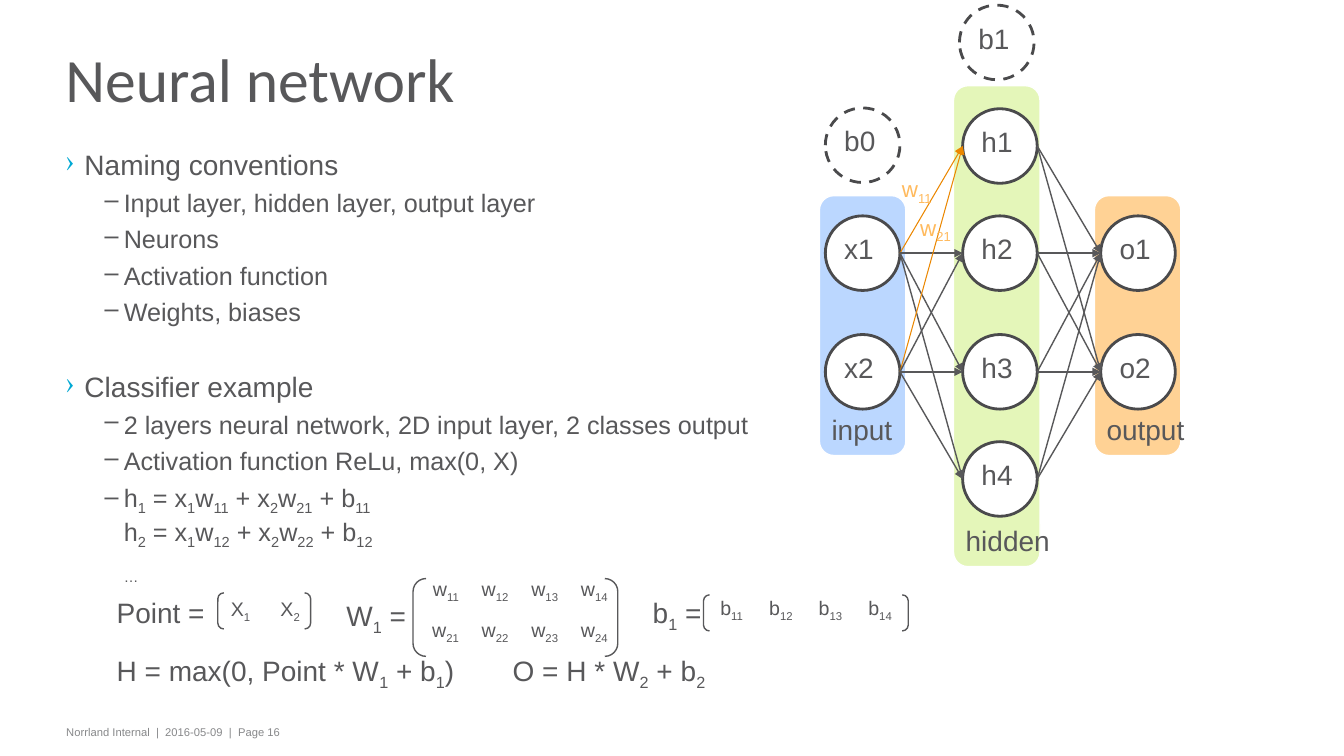
from lxml import etree
from pptx import Presentation
from pptx import util as u
from pptx.dml.color import RGBColor
from pptx.enum import dml, shapes, text
from pptx.oxml.ns import qn

COLORS = {
    "text": "58585A", "footer": "87888A", "ring": "4A4A4C", "white": "FFFFFF",
    "bullet": "00A9D4", "weight": "FFBA5D", "weight_line": "EB8700",
    "input": "97C3FF", "hidden": "D6F294", "output": "FFBA5D",
}

# In all wording, "~" switches subscript on and off.
TITLE = "Neural network"
FOOTER = "Norrland Internal  |  2016-05-09  |  Page 16"
BODY = [
    ("topic", 0, "Naming conventions"),
    ("item", 4.5, "Input layer, hidden layer, output layer"),
    ("item", 4.5, "Neurons"),
    ("item", 4.5, "Activation function"),
    ("item", 4.5, "Weights, biases"),
    ("topic", 30, "Classifier example"),
    ("item", 4.5, "2 layers neural network, 2D input layer, 2 classes output"),
    ("item", 4.5, "Activation function ReLu, max(0, X)"),
    ("item", 4.5, "h~1~ = x~1~w~11~ + x~2~w~21~ + b~11"),
    ("more", 0, "h~2~ = x~1~w~12~ + x~2~w~22~ + b~12"),
    ("more", 0, "~…"),
]
STYLES = {
    "topic": (20, 0.48, -0.48, "›", "bullet"),
    "item": (18, 1.47, -0.48, "–", "text"),
    "more": (18, 1.47, 0, None, None),
}
LAYERS = {
    "output": (27.58, 4.93, 6.55),
    "hidden": (24.03, 2.16, 12.12),
    "input": (20.65, 4.93, 6.55),
}
LAYER_WIDTH = 2.18
NODE = 1.88
NODE_LEFT = {"x": 20.8, "h": 24.26, "o": 27.74}
ROWS = [2.74, 5.44, 8.43, 11.13]
NODE_ROWS = {"x": ROWS[1:3], "h": ROWS, "o": ROWS[1:3]}
BIASES = [("b0", 20.8, 2.72), ("b1", 24.18, 0.13)]
LABELS = [
    ("w~11", 22.48, 4.29, 1.32, 16, "weight"),
    ("w~21", 22.94, 5.26, 1.35, 16, "weight"),
    ("Point =", 2.69, 14.88, 2.74, 20, "text"),
    ("W~1~ =", 8.48, 14.94, 2.06, 20, "text"),
    ("b~1~ =", 16.2, 14.88, 1.78, 20, "text"),
    ("H = max(0, Point * W~1~ + b~1~)", 2.69, 16.33, 9.4, 20, "text"),
    ("O = H * W~2~ + b~2", 12.67, 16.33, 5.46, 20, "text"),
]
CELL = (1.25, 1.03)
MATRICES = [
    ([["w~11", "w~12", "w~13", "w~14"], ["w~21", "w~22", "w~23", "w~24"]],
     (10.57, 14.45), (10.41, 14.58, 5.16, 1.96)),
    ([["b~11", "b~12", "b~13", "b~14"]], (17.73, 14.94), (17.73, 14.99, 5.16, 0.91)),
    ([["X~1", "X~2"]], (5.31, 14.96), (5.49, 14.94, 2.34, 0.91)),
]


def color(name):
    return RGBColor.from_string(COLORS[name])


def write(para, wording, size, tint="text", font="Arial"):
    para.font.size = u.Pt(size)
    para.font.name = font
    para.font.color.rgb = color(tint)
    for number, part in enumerate(wording.split("~")):
        if part:
            span = para.add_run()
            span.text = part
            if number % 2:
                span.font._element.set("baseline", "-25000")


def set_frame(frame, anchor=text.MSO_ANCHOR.TOP, wrap=False, side=0.2, edge=0.13):
    frame.word_wrap = wrap
    frame.vertical_anchor = anchor
    frame.margin_left = frame.margin_right = u.Cm(side)
    frame.margin_top = frame.margin_bottom = u.Cm(edge)
    return frame


def add_box(page, left, top, width, height, **options):
    box = page.shapes.add_textbox(*map(u.Cm, (left, top, width, height)))
    return set_frame(box.text_frame, **options)


def add_outline(page, kind, left, top, width, height, fill, line, weight):
    shape = page.shapes.add_shape(kind, *map(u.Cm, (left, top, width, height)))
    shape.shadow.inherit = False
    if fill:
        shape.fill.solid()
        shape.fill.fore_color.rgb = color(fill)
    else:
        shape.fill.background()
    shape.line.color.rgb = color(line)
    shape.line.width = u.Pt(weight)
    return shape


def label_shape(shape, wording, anchor):
    para = set_frame(shape.text_frame, anchor).paragraphs[0]
    para.alignment = text.PP_ALIGN.LEFT
    write(para, wording, 20)


def add_layer(page, name, left, top, height):
    panel = add_outline(page, shapes.MSO_SHAPE.ROUNDED_RECTANGLE,
                        left, top, LAYER_WIDTH, height, name, "white", 1)
    tint = panel.fill._xPr.find(".//" + qn("a:srgbClr"))
    etree.SubElement(tint, qn("a:alpha")).set("val", "65000")
    label_shape(panel, name, text.MSO_ANCHOR.BOTTOM)


def add_node(page, name, left, top):
    node = add_outline(page, shapes.MSO_SHAPE.OVAL, left, top, NODE, NODE, "white", "ring", 2)
    label_shape(node, name, text.MSO_ANCHOR.TOP)
    return node


def add_arrow(page, start, end, tint, weight):
    arrow = page.shapes.add_connector(shapes.MSO_CONNECTOR.STRAIGHT, *map(u.Cm, start + end))
    arrow.line.color.rgb = color(tint)
    arrow.line.width = u.Pt(weight)
    etree.SubElement(arrow.line._get_or_add_ln(), qn("a:tailEnd")).set("type", "triangle")
    etree.SubElement(arrow._element.spPr, qn("a:effectLst"))


def connect_layers(page, source, target):
    for start_row in NODE_ROWS[source]:
        for end_row in NODE_ROWS[target]:
            start = (NODE_LEFT[source] + NODE, start_row + NODE / 2)
            end = (NODE_LEFT[target], end_row + NODE / 2)
            weighted = source == "x" and end_row == ROWS[0]
            add_arrow(page, start, end, *(("weight_line", 0.75) if weighted else ("text", 1)))


def add_body(page):
    frame = add_box(page, 1.45, 3.71, 20.19, 14.6, wrap=True, edge=0)
    for number, (style, gap, wording) in enumerate(BODY):
        size, margin, indent, bullet, tint = STYLES[style]
        para = frame.add_paragraph() if number else frame.paragraphs[0]
        props = para._p.get_or_add_pPr()
        props.set("marL", str(u.Cm(margin)))
        props.set("indent", str(u.Cm(indent)))
        if bullet:
            paint = etree.SubElement(props, qn("a:buClr"))
            etree.SubElement(paint, qn("a:srgbClr")).set("val", COLORS[tint])
            etree.SubElement(props, qn("a:buChar")).set("char", bullet)
        para.space_before = u.Pt(gap)
        write(para, wording, size)


def add_matrix(page, rows, corner, bracket):
    width, height = CELL
    size = (width * len(rows[0]), height * len(rows))
    table = page.shapes.add_table(len(rows), len(rows[0]), *map(u.Cm, corner + size)).table
    table.first_row = table.horz_banding = False
    for row, entries in enumerate(rows):
        for column, entry in enumerate(entries):
            cell = table.cell(row, column)
            cell.fill.background()
            para = cell.text_frame.paragraphs[0]
            para.alignment = text.PP_ALIGN.RIGHT
            write(para, entry, 14)
    add_outline(page, shapes.MSO_SHAPE.DOUBLE_BRACKET, *bracket, None, "text", 1)


def main():
    deck = Presentation()
    deck.slide_width, deck.slide_height = u.Cm(33.87), u.Cm(19.05)
    page = deck.slides.add_slide(deck.slide_layouts[6])

    write(add_box(page, 1.47, 18.14, 27.41, 0.61).paragraphs[0], FOOTER, 8, "footer")
    for name, place in LAYERS.items():
        add_layer(page, name, *place)
    title = add_box(page, 1.45, 0.66, 25.58, 3.02,
                    anchor=text.MSO_ANCHOR.MIDDLE, wrap=True, edge=0).paragraphs[0]
    title.line_spacing = 0.75
    write(title, TITLE, 44, font="Calibri")
    add_body(page)

    for letter, rows in NODE_ROWS.items():
        for number, top in enumerate(rows, 1):
            add_node(page, f"{letter}{number}", NODE_LEFT[letter], top)
    for bias in BIASES:
        add_node(page, *bias).line.dash_style = dml.MSO_LINE.DASH
    connect_layers(page, "x", "h")
    connect_layers(page, "h", "o")

    for wording, left, top, width, size, tint in LABELS:
        frame = add_box(page, left, top, width, 1.12, side=0.25)
        write(frame.paragraphs[0], wording, size, tint)
    for matrix in MATRICES:
        add_matrix(page, *matrix)
    deck.save("out.pptx")


if __name__ == "__main__":
    main()
